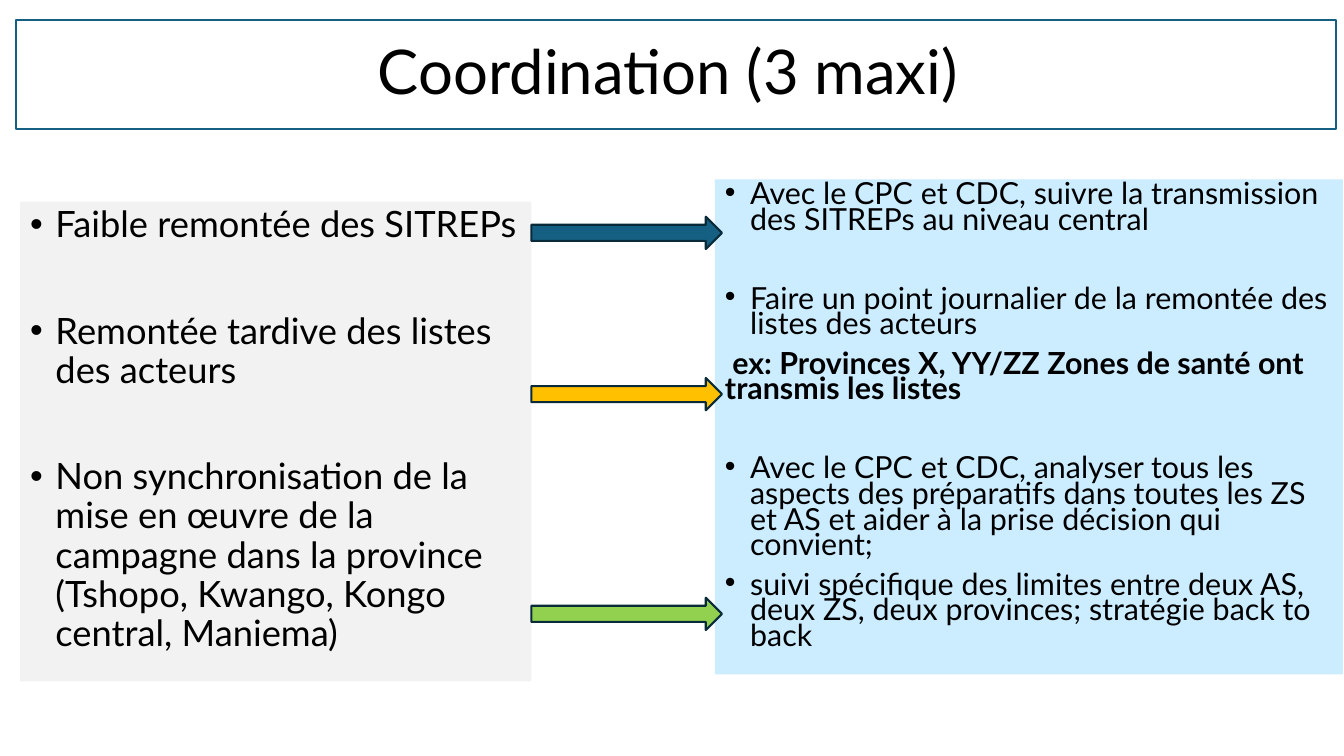
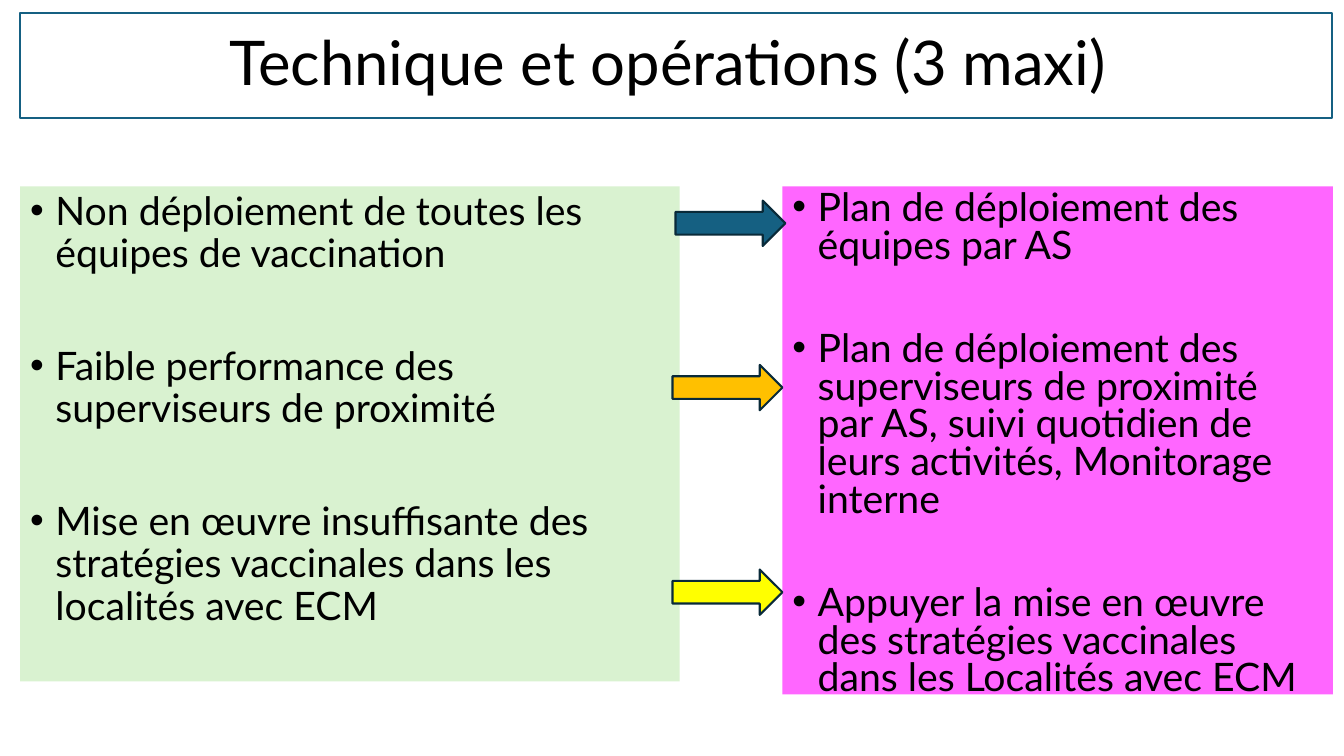
from dataclasses import dataclass

from lxml.etree import SubElement
from pptx import Presentation
from pptx.dml.color import RGBColor
from pptx.enum.shapes import MSO_SHAPE
from pptx.enum.text import MSO_ANCHOR, MSO_AUTO_SIZE, PP_ALIGN
from pptx.oxml.ns import qn
from pptx.util import Inches, Pt

FONT = "Lato"
BLACK = RGBColor(0x00, 0x00, 0x00)
WHITE = RGBColor(0xFF, 0xFF, 0xFF)
TEAL = RGBColor(0x15, 0x60, 0x82)
DARK_TEAL = RGBColor(0x09, 0x2A, 0x39)
AMBER = RGBColor(0xFF, 0xC0, 0x00)
GREEN = RGBColor(0x92, 0xD0, 0x50)
YELLOW = RGBColor(0xFF, 0xFF, 0x00)
LIGHT_GREY = RGBColor(0xF2, 0xF2, 0xF2)
LIGHT_BLUE = RGBColor(0xCC, 0xEC, 0xFF)
LIGHT_GREEN = RGBColor(0xD9, 0xF2, 0xD0)
PINK = RGBColor(0xFF, 0x66, 0xFF)

TWO_CONTENT_LAYOUT = 3
BULLET_INDENT = Inches(0.25)
ITEM_GAP = 10
LINE_HEIGHT = 1.2


@dataclass(frozen=True)
class Box:
    left: float
    top: float
    width: float
    height: float


@dataclass(frozen=True)
class Item:
    text: str
    starts_group: bool = True
    is_example: bool = False


@dataclass(frozen=True)
class Panel:
    box: Box
    fill: RGBColor
    size: float
    line_spacing: float
    items: tuple[Item, ...]


@dataclass(frozen=True)
class Arrow:
    box: Box
    fill: RGBColor


@dataclass(frozen=True)
class Topic:
    title: str
    title_box: Box
    problems: Panel
    actions: Panel
    arrows: tuple[Arrow, ...]


TOPICS = (
    Topic(
        "Coordination (3 maxi) ",
        Box(0.16, 0.2, 13.09, 1.08),
        Panel(Box(0.2, 2, 5.07, 4.76), LIGHT_GREY, 25.9, 0.9, (
            Item("Faible remontée des SITREPs"),
            Item("Remontée tardive des listes des acteurs"),
            Item("Non synchronisation de la mise en œuvre de la campagne dans "
                 "la province (Tshopo, Kwango, Kongo central, Maniema)"),
        )),
        Panel(Box(7.09, 1.78, 6.23, 4.91), LIGHT_BLUE, 21.7, 0.7, (
            Item("Avec le CPC et CDC, suivre la transmission des SITREPs au "
                 "niveau central"),
            Item("Faire un point journalier de la remontée des listes des "
                 "acteurs"),
            Item(" ex: Provinces X, YY/ZZ Zones de santé ont transmis les "
                 "listes", starts_group=False, is_example=True),
            Item("Avec le CPC et CDC, analyser tous les aspects des "
                 "préparatifs dans toutes les ZS et AS et aider à la prise "
                 "décision qui convient;"),
            Item("suivi spécifique des limites entre deux AS, deux ZS, deux "
                 "provinces; stratégie back to back", starts_group=False),
        )),
        (
            Arrow(Box(5.27, 2.15, 1.89, 0.32), TEAL),
            Arrow(Box(5.27, 3.75, 1.89, 0.32), AMBER),
            Arrow(Box(5.27, 5.93, 1.89, 0.32), GREEN),
        ),
    ),
    Topic(
        "Technique et opérations (3 maxi) ",
        Box(0.2, 0.13, 13.01, 1.04),
        Panel(Box(0.2, 1.85, 6.54, 4.91), LIGHT_GREEN, 28, 0.9, (
            Item("Non déploiement de toutes les équipes de vaccination"),
            Item("Faible performance des superviseurs de proximité"),
            Item("Mise en œuvre insuffisante des stratégies vaccinales dans "
                 "les localités avec ECM"),
        )),
        Panel(Box(7.76, 1.85, 5.46, 5.04), PINK, 28, 0.8, (
            Item("Plan de déploiement des équipes par AS"),
            Item("Plan de déploiement des superviseurs de proximité par AS, "
                 "suivi quotidien de leurs activités, Monitorage interne"),
            Item("Appuyer la mise en œuvre des stratégies vaccinales dans "
                 "les Localités avec ECM"),
        )),
        (
            Arrow(Box(6.7, 1.99, 1.09, 0.45), TEAL),
            Arrow(Box(6.67, 3.62, 1.09, 0.45), AMBER),
            Arrow(Box(6.67, 5.65, 1.09, 0.45), YELLOW),
        ),
    ),
)


def place(shape, box: Box) -> None:
    shape.left, shape.top = Inches(box.left), Inches(box.top)
    shape.width, shape.height = Inches(box.width), Inches(box.height)


def paint(shape, fill: RGBColor, line: RGBColor | None = None) -> None:
    shape.fill.solid()
    shape.fill.fore_color.rgb = fill
    if line is None:
        shape.line.fill.background()
    else:
        shape.line.color.rgb = line
        shape.line.width = Pt(1.5)


def set_bullet(paragraph, has_bullet: bool) -> None:
    properties = paragraph._p.get_or_add_pPr()
    indent = BULLET_INDENT if has_bullet else 0
    properties.set("marL", str(indent))
    properties.set("indent", str(-indent))
    if has_bullet:
        SubElement(properties, qn("a:buFont"), typeface="Arial")
        SubElement(properties, qn("a:buChar"), char="•")
    else:
        SubElement(properties, qn("a:buNone"))


def format_font(font, size: float, bold: bool = False) -> None:
    font.name = FONT
    font.size = Pt(size)
    font.bold = bold
    font.color.rgb = BLACK


def fill_title(shape, text: str, box: Box) -> None:
    place(shape, box)
    paint(shape, WHITE, TEAL)
    text_frame = shape.text_frame
    text_frame.text = text
    text_frame.auto_size = MSO_AUTO_SIZE.NONE
    text_frame.vertical_anchor = MSO_ANCHOR.MIDDLE
    paragraph = text_frame.paragraphs[0]
    paragraph.alignment = PP_ALIGN.CENTER
    paragraph.line_spacing = 0.9
    format_font(paragraph.runs[0].font, 44)


def fill_panel(shape, panel: Panel) -> None:
    place(shape, panel.box)
    paint(shape, panel.fill)
    text_frame = shape.text_frame
    text_frame.text = "\n".join(item.text for item in panel.items)
    text_frame.auto_size = MSO_AUTO_SIZE.NONE
    text_frame.vertical_anchor = MSO_ANCHOR.TOP
    group_gap = 2 * ITEM_GAP + LINE_HEIGHT * panel.size * panel.line_spacing
    for index, (paragraph, item) in enumerate(
            zip(text_frame.paragraphs, panel.items)):
        gap = group_gap if item.starts_group else ITEM_GAP
        set_bullet(paragraph, not item.is_example)
        paragraph.line_spacing = panel.line_spacing
        paragraph.space_before = Pt(gap if index else 0)
        format_font(paragraph.runs[0].font, panel.size, item.is_example)


def draw_arrow(slide, arrow: Arrow) -> None:
    shape = slide.shapes.add_shape(MSO_SHAPE.RIGHT_ARROW, 0, 0, 0, 0)
    place(shape, arrow.box)
    paint(shape, arrow.fill, DARK_TEAL)
    shape.shadow.inherit = False


def build_slide(presentation, topic: Topic) -> None:
    layout = presentation.slide_layouts[TWO_CONTENT_LAYOUT]
    slide = presentation.slides.add_slide(layout)
    title, problems, actions = slide.placeholders
    fill_title(title, topic.title, topic.title_box)
    fill_panel(problems, topic.problems)
    fill_panel(actions, topic.actions)
    for arrow in topic.arrows:
        draw_arrow(slide, arrow)


def main() -> None:
    presentation = Presentation()
    presentation.slide_width = Inches(13.33)
    presentation.slide_height = Inches(7.5)
    for topic in TOPICS:
        build_slide(presentation, topic)
    presentation.save("out.pptx")


if __name__ == "__main__":
    main()
